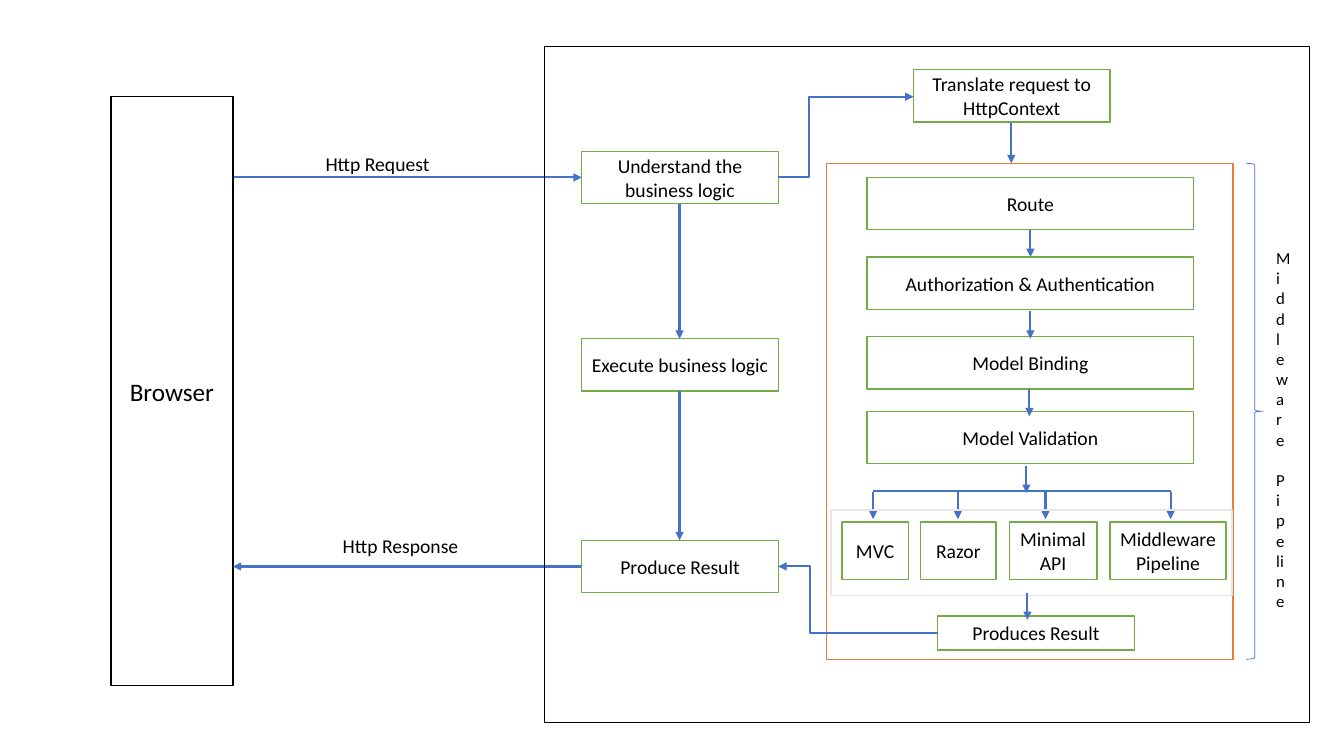
from pptx import Presentation
from pptx import util as u
from pptx.dml.color import RGBColor
from pptx.enum import shapes, text
from pptx.oxml import ns
from lxml import etree

PX = 9144  # EMU in one px, 100 px to the inch
BLACK = RGBColor(0x00, 0x00, 0x00)
WHITE = RGBColor(0xFF, 0xFF, 0xFF)
BLUE = RGBColor(0x44, 0x72, 0xC4)
GREEN = RGBColor(0x70, 0xAD, 0x47)
ORANGE = RGBColor(0xED, 0x7D, 0x31)
GRAY = RGBColor(0xE7, 0xE6, 0xE6)

BOX_FRAME = {"word_wrap": True, "vertical_anchor": text.MSO_ANCHOR.MIDDLE}
LABEL_FRAME = {"word_wrap": True, "vertical_anchor": text.MSO_ANCHOR.TOP}


def px(*lengths):
    return [u.Emu(length * PX) for length in lengths]


def set_all(target, values):
    for name, value in values.items():
        setattr(target, name, value)


def write(shape, lines, size, frame_format, align, gap=0):
    """Put each line in its own paragraph, gap points apart."""
    frame = shape.text_frame
    set_all(frame, frame_format)
    for index, line in enumerate(lines):
        paragraph = frame.add_paragraph() if index else frame.paragraphs[0]
        paragraph.alignment = align
        paragraph.space_before = u.Pt(gap if index else 0)
        run = paragraph.add_run()
        run.text = line
        set_all(run.font, {"name": "Calibri", "size": u.Pt(size)})
        run.font.color.rgb = BLACK


def outline(slide, place, color, fill=None, kind=shapes.MSO_SHAPE.RECTANGLE, width=1):
    shape = slide.shapes.add_shape(kind, *px(*place))
    shape.shadow.inherit = False
    if fill is None:
        shape.fill.background()
    else:
        shape.fill.solid()
        shape.fill.fore_color.rgb = fill
    shape.line.color.rgb = color
    shape.line.width = u.Pt(width)
    return shape


def box(slide, place, caption, color=GREEN, size=14):
    shape = outline(slide, place, color, WHITE)
    write(shape, [caption], size, BOX_FRAME, text.PP_ALIGN.CENTER)


def label(slide, place, lines, size=14, gap=0):
    shape = slide.shapes.add_textbox(*px(*place))
    write(shape, lines, size, LABEL_FRAME, text.PP_ALIGN.LEFT, gap)


def link(slide, start, end, bend=None, arrow=True):
    """Straight line, or an elbow that turns at bend (share of its width)."""
    kind = shapes.MSO_CONNECTOR.STRAIGHT if bend is None else shapes.MSO_CONNECTOR.ELBOW
    connector = slide.shapes.add_connector(kind, *px(*start, *end))
    connector.line.color.rgb = BLUE
    connector.line.width = u.Pt(1.5)
    properties = connector.element.spPr
    if arrow:
        line = properties.find(ns.qn("a:ln"))
        etree.SubElement(line, ns.qn("a:tailEnd"), type="triangle")
    if bend is not None:
        values = properties.find(ns.qn("a:prstGeom")).get_or_add_avLst()
        etree.SubElement(values, ns.qn("a:gd"), name="adj1",
                         fmla=f"val {round(bend * 100000)}")
    etree.SubElement(properties, ns.qn("a:effectLst"))


def drop(slide, x, top, bottom):
    link(slide, (x, top), (x, bottom))


def draw_browser(slide):
    box(slide, (110, 96, 121, 584), "Browser", BLACK, 18)
    link(slide, (232, 176), (577, 176))
    link(slide, (577, 562), (231, 562))
    label(slide, (313, 146, 188, 34), ["Http Request"])
    label(slide, (330, 525, 188, 34), ["Http Response"])


def draw_server(slide):
    outline(slide, (540, 46, 759, 671), BLACK)
    steps = [(150, "Understand the business logic"),
             (336, "Execute business logic"),
             (536, "Produce Result")]
    for top, caption in steps:
        box(slide, (577, top, 195, 52), caption)
    for (upper, _), (lower, _) in zip(steps, steps[1:]):
        drop(slide, 674, upper + 52, lower)


def draw_pipeline(slide):
    outline(slide, (820, 162, 403, 492), ORANGE, WHITE)
    box(slide, (906, 69, 195, 52), "Translate request to HttpContext")
    drop(slide, 1003, 122, 162)

    # Middleware stages
    stages = [(176, "Route"), (255, "Authorization & Authentication"),
              (334, "Model Binding"), (408, "Model Validation")]
    for top, caption in stages:
        box(slide, (860, top, 324, 52), caption)
    for x, top in [(1022, 228), (1022, 309), (1021, 386), (1018, 462)]:
        drop(slide, x, top, top + 27)

    # Endpoint kinds, fed from one bar
    link(slide, (866, 487), (1161, 487), arrow=False)
    endpoints = [(835, 66, 866, "MVC"), (913, 75, 950, "Razor"),
                 (1001, 87, 1037, "Minimal API"),
                 (1101, 115, 1161, "Middleware Pipeline")]
    for left, width, arrow_x, caption in endpoints:
        box(slide, (left, 518, width, 57), caption)
        drop(slide, arrow_x, 488, 515)
    outline(slide, (824, 506, 398, 85), GRAY)

    # Result of the pipeline
    box(slide, (930, 611, 195, 34), "Produces Result")
    drop(slide, 1019, 588, 615)

    # Brace and its narrow label, which wraps letter by letter
    outline(slide, (1236, 162, 17, 492), BLUE,
            kind=shapes.MSO_SHAPE.RIGHT_BRACE, width=0.5)
    label(slide, (1256, 241, 30, 374), ["Middleware", "Pipeline"], 12, 14.6)


def main():
    presentation = Presentation()
    set_all(presentation, dict(zip(("slide_width", "slide_height"), px(1333, 750))))
    slide = presentation.slides.add_slide(presentation.slide_layouts[6])
    draw_browser(slide)
    draw_server(slide)
    draw_pipeline(slide)
    # Paths between the server steps and the pipeline
    link(slide, (772, 176), (906, 96), bend=0.23)
    link(slide, (930, 628), (772, 562), bend=0.8)
    presentation.save("out.pptx")


if __name__ == "__main__":
    main()
